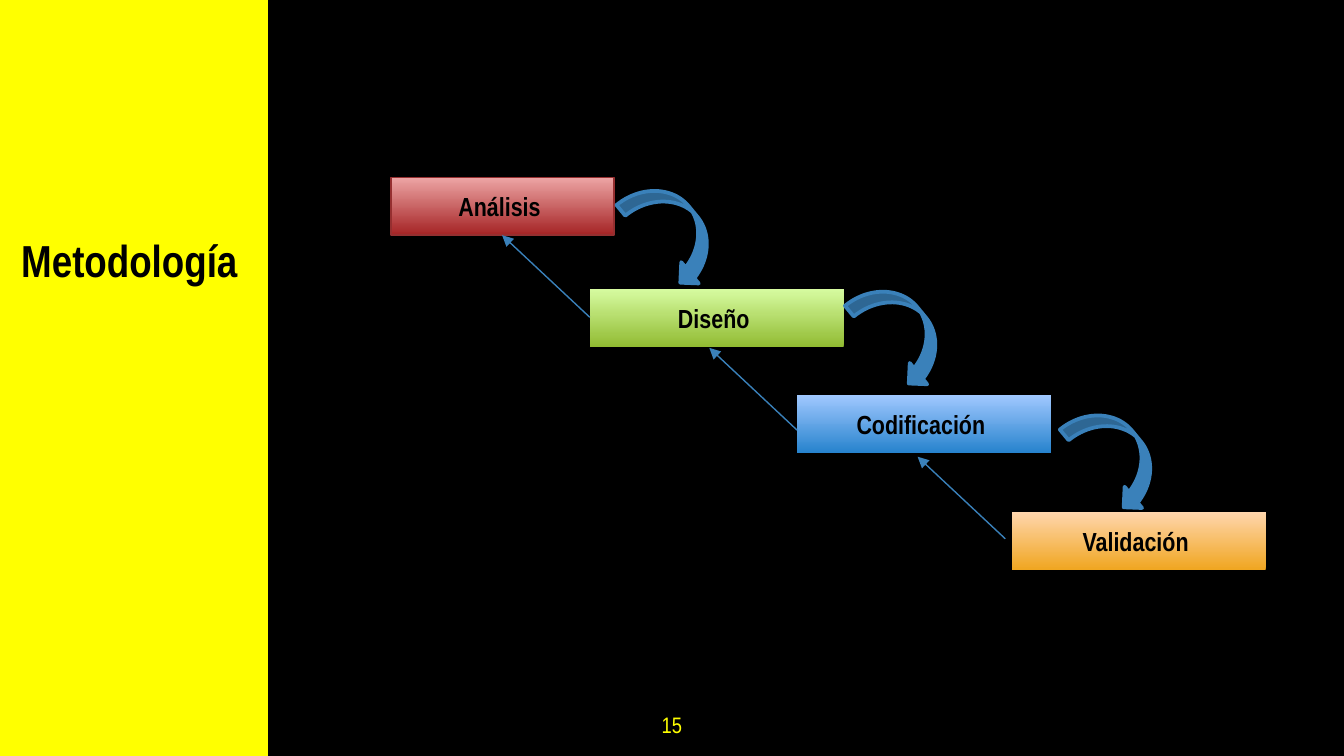
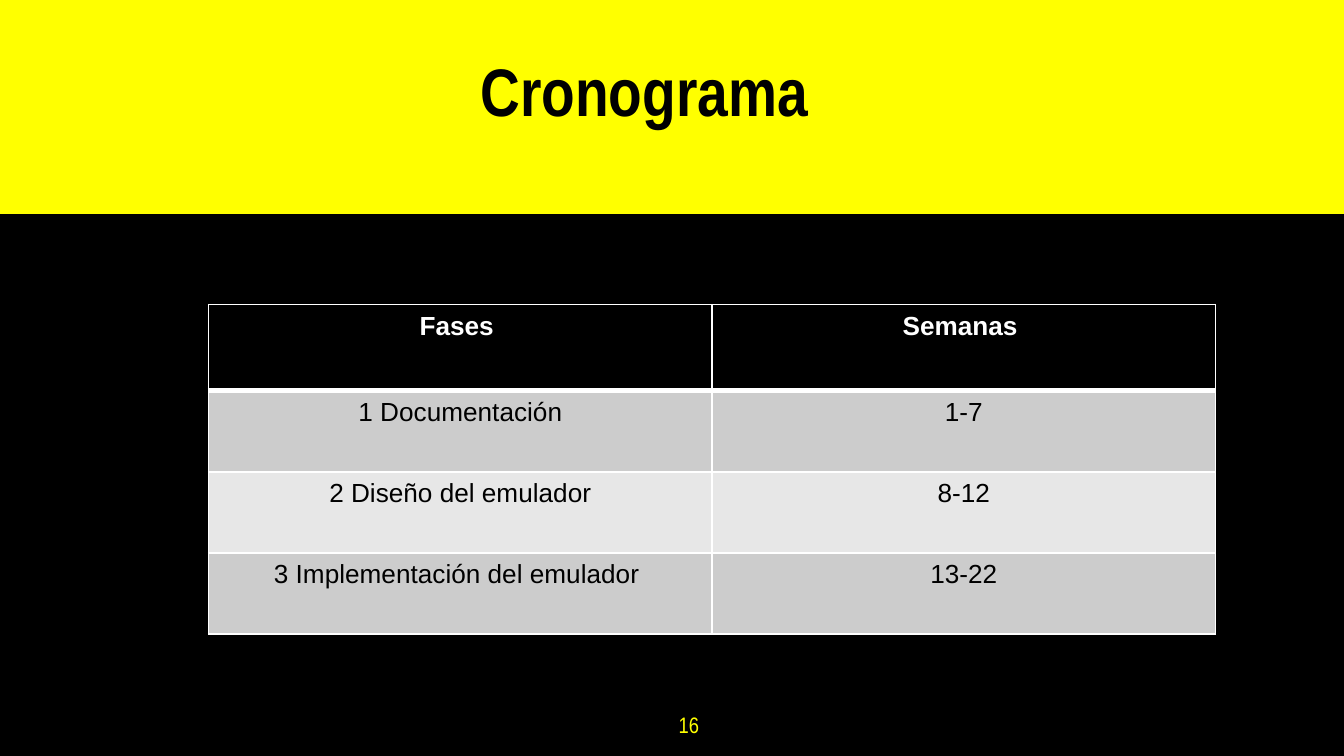
from dataclasses import dataclass
from typing import NamedTuple, Optional

from lxml.etree import SubElement
from pptx import Presentation
from pptx.dml.color import RGBColor
from pptx.enum.shapes import MSO_CONNECTOR as Connector
from pptx.enum.shapes import MSO_SHAPE as Preset
from pptx.enum.text import MSO_ANCHOR as Anchor
from pptx.enum.text import PP_ALIGN as Align
from pptx.oxml.ns import qn
from pptx.util import Pt


@dataclass(frozen=True)
class Theme:
    background: str = "000000"
    accent: str = "FFFF00"
    ink: str = "000000"
    light: str = "FFFFFF"
    arrow: str = "3A81BA"
    shadow: str = "000000"
    row_fills: tuple = ("CCCCCC", "E7E7E7")
    heading_font: str = "Arial Narrow"
    body_font: str = "Arial"
    side_title: int = 24
    top_title: int = 36
    body: int = 14
    footer: int = 12


THEME = Theme()


class Box(NamedTuple):
    """A rectangle in points."""
    left: float
    top: float
    width: float
    height: float

    def lengths(self) -> tuple:
        return tuple(Pt(value) for value in self)


class Stage(NamedTuple):
    label: str
    box: Box
    dark: str
    light: str
    outline: Optional[str] = None


class Point(NamedTuple):
    x: float
    y: float


STAGES = (
    Stage("Análisis ", Box(209.5, 95, 119.5, 31), "A52425", "EDA5A5", "952F30"),
    Stage("Diseño ", Box(316, 155, 136, 31), "91BB32", "D6FBA0"),
    Stage("Codificación ", Box(427, 211.7, 136, 31), "2783CD", "A0C8FF"),
    Stage("Validación ", Box(542, 274.3, 136, 31), "F0A621", "FFD6AD"),
)
FORWARD_ARROWS = (Point(330.5, 109.4), Point(452.9, 163.4), Point(568, 229.7))
BACK_ARROWS = (Point(316, 170), Point(427, 230.4), Point(538.6, 288.7))
BACK_STEP = Point(-47, -44)

SCHEDULE = (
    ("Fases ", "Semanas "),
    ("1 Documentación", "1-7"),
    ("2 Diseño del emulador", "8-12"),
    ("3 Implementación del emulador ", "13-22"),
)


def rgb(color: str) -> RGBColor:
    return RGBColor.from_string(color)


def write(frame, text: str, *, size: int = THEME.body, font: str = THEME.heading_font,
          color: str = THEME.ink, bold: bool = True, align=Align.CENTER) -> None:
    paragraph = frame.paragraphs[0]
    paragraph.alignment = align
    run = paragraph.add_run()
    run.text = text
    run.font.size = Pt(size)
    run.font.name = font
    run.font.bold = bold
    run.font.color.rgb = rgb(color)


def add_text(slide, box: Box, text: str, margin: Optional[float] = None, **style) -> None:
    frame = slide.shapes.add_textbox(*box.lengths()).text_frame
    frame.word_wrap = True
    if margin is not None:
        frame.margin_left = frame.margin_right = Pt(margin)
        frame.margin_top = frame.margin_bottom = Pt(margin)
    write(frame, text, **style)


def add_shape(slide, preset, box: Box, fill: Optional[str] = None,
              line: Optional[str] = None, line_width: float = 2):
    shape = slide.shapes.add_shape(preset, *box.lengths())
    shape.shadow.inherit = False
    if fill:
        shape.fill.solid()
        shape.fill.fore_color.rgb = rgb(fill)
    if line:
        shape.line.color.rgb = rgb(line)
        shape.line.width = Pt(line_width)
    else:
        shape.line.fill.background()
    return shape


def add_stage(slide, stage: Stage) -> None:
    shape = add_shape(slide, Preset.RECTANGLE, stage.box, line=stage.outline, line_width=0.75)
    shape.fill.gradient()
    shape.fill.gradient_angle = 90
    for stop, color in zip(shape.fill.gradient_stops, (stage.dark, stage.light)):
        stop.color.rgb = rgb(color)
    effects = shape._element.spPr.find(qn("a:effectLst"))
    shadow = SubElement(effects, qn("a:outerShdw"), blurRad=str(Pt(3.1)),
                        dist=str(Pt(1.8)), dir="5400000", rotWithShape="0")
    color = SubElement(shadow, qn("a:srgbClr"), val=THEME.shadow)
    SubElement(color, qn("a:alpha"), val="35000")
    shape.text_frame.word_wrap = True
    shape.text_frame.vertical_anchor = Anchor.MIDDLE
    write(shape.text_frame, stage.label)


def add_forward_arrow(slide, corner: Point) -> None:
    shape = add_shape(slide, Preset.CURVED_UP_ARROW, Box(*corner, 61.2, 29.5),
                      THEME.arrow, THEME.arrow)
    shape.rotation = 230.6
    shape._element.spPr.find(qn("a:xfrm")).set("flipH", "1")


def add_back_arrow(slide, start: Point) -> None:
    end = Point(start.x + BACK_STEP.x, start.y + BACK_STEP.y)
    connector = slide.shapes.add_connector(
        Connector.STRAIGHT, Pt(start.x), Pt(start.y), Pt(end.x), Pt(end.y))
    connector.line.color.rgb = rgb(THEME.arrow)
    connector.line.width = Pt(0.75)
    properties = connector._element.spPr
    SubElement(properties.find(qn("a:ln")), qn("a:tailEnd"), type="triangle")
    SubElement(properties, qn("a:effectLst"))


def set_borders(cell, top: float, bottom: float) -> None:
    """Draw the four cell borders; call before the cell is filled."""
    widths = {"L": 1, "R": 1, "T": top, "B": bottom}
    properties = cell._tc.get_or_add_tcPr()
    for side, width in widths.items():
        line = SubElement(properties, qn(f"a:ln{side}"), w=str(Pt(width)))
        fill = SubElement(line, qn("a:solidFill"))
        SubElement(fill, qn("a:srgbClr"), val=THEME.light)


def add_schedule(slide) -> None:
    box = Box(111.8, 163.2, 539.4, 176.4)
    table = slide.shapes.add_table(len(SCHEDULE), 2, *box.lengths()).table
    for column in table.columns:
        column.width = Pt(box.width / 2)
    for index, values in enumerate(SCHEDULE):
        header = index == 0
        table.rows[index].height = Pt(46.2 if header else 43.4)
        for cell, value in zip(table.rows[index].cells, values):
            set_borders(cell, top=3 if index == 1 else 1, bottom=3 if header else 1)
            cell.fill.solid()
            fill = THEME.background if header else THEME.row_fills[(index - 1) % 2]
            cell.fill.fore_color.rgb = rgb(fill)
            write(cell.text_frame, value, font=THEME.body_font, bold=header,
                  color=THEME.light if header else THEME.ink)


def start_slide(presentation, number: str, number_align, band: Box):
    """Add a slide with its background, page number and accent band."""
    slide = presentation.slides.add_slide(presentation.slide_layouts[6])
    slide.background.fill.solid()
    slide.background.fill.fore_color.rgb = rgb(THEME.background)
    add_text(slide, Box(338.4, 373.7, 43.2, 31), number, margin=7.2, size=THEME.footer,
             color=THEME.accent, bold=False, align=number_align)
    add_shape(slide, Preset.RECTANGLE, band, THEME.accent, THEME.accent)
    return slide


def build_methodology(presentation) -> None:
    slide = start_slide(presentation, "15", Align.CENTER, Box(0, 0, 142.6, 405))
    add_text(slide, Box(4.3, 121, 133.9, 36), "Metodología",
             size=THEME.side_title, align=Align.LEFT)
    for stage in STAGES:
        add_stage(slide, stage)
    for corner in FORWARD_ARROWS:
        add_forward_arrow(slide, corner)
    for start in BACK_ARROWS:
        add_back_arrow(slide, start)


def build_schedule(presentation) -> None:
    slide = start_slide(presentation, "16", Align.RIGHT, Box(0, 0, 720, 113.8))
    add_schedule(slide)
    add_text(slide, Box(194.4, 23, 301.7, 51), "Cronograma", size=THEME.top_title)


def main() -> None:
    presentation = Presentation()
    presentation.slide_width = Pt(720)
    presentation.slide_height = Pt(405)
    build_methodology(presentation)
    build_schedule(presentation)
    presentation.save("out.pptx")


if __name__ == "__main__":
    main()
